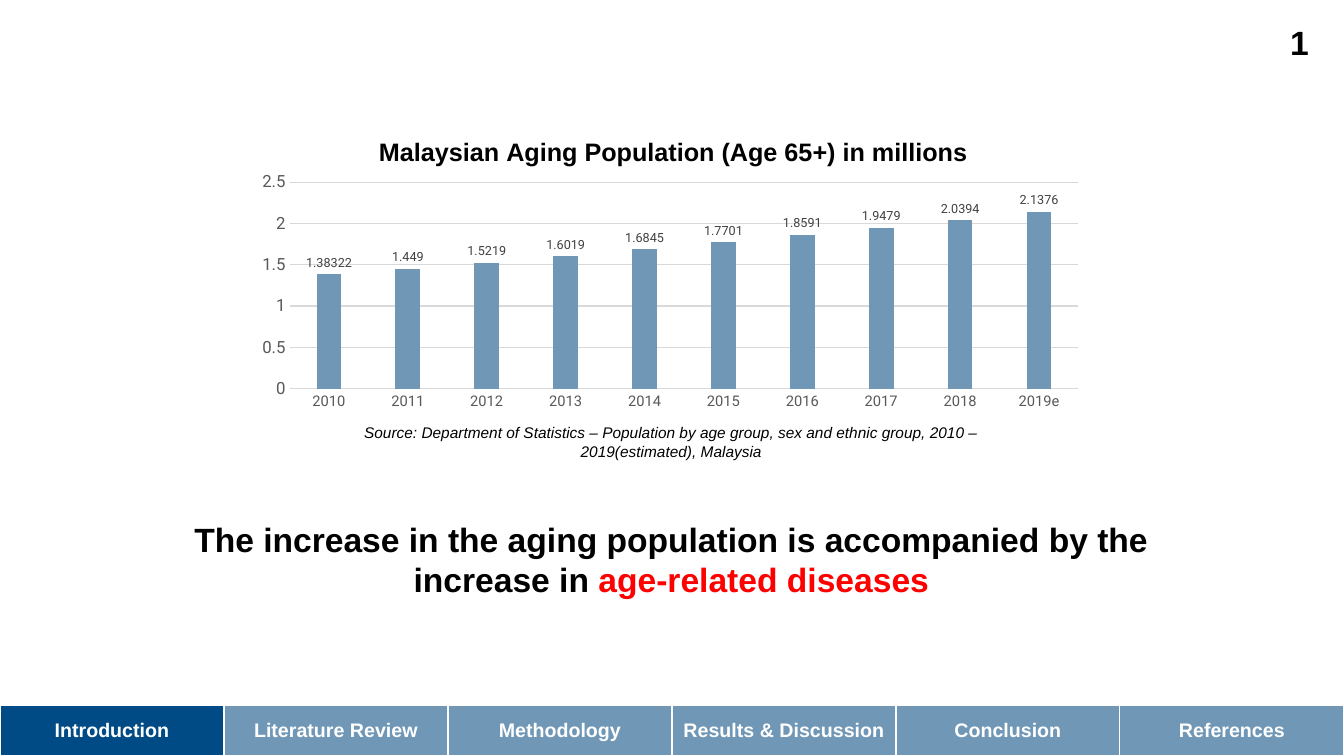
import pptx
import pptx.chart.data
import pptx.dml.color
import pptx.enum.chart
import pptx.enum.text
import pptx.oxml
import pptx.oxml.ns
import pptx.util

Pt = pptx.util.Pt
ALIGN = pptx.enum.text.PP_ALIGN
ANCHOR = pptx.enum.text.MSO_ANCHOR
NAVY, STEEL, WHITE, BLACK, RED = "004B85", "7098B6", "FFFFFF", "000000", "FF0000"
AXIS_GREY, LABEL_GREY, GRID_GREY = "595959", "404040", "D9D9D9"
WIDTH, HEIGHT = 960, 540

SECTIONS = ["Introduction", "Literature Review", "Methodology",
            "Results & Discussion", "Conclusion", "References"]
YEARS = ["2010", "2011", "2012", "2013", "2014",
         "2015", "2016", "2017", "2018", "2019e"]
MILLIONS = [1.38322, 1.449, 1.5219, 1.6019, 1.6845,
            1.7701, 1.8591, 1.9479, 2.0394, 2.1376]


def rgb(color):
    return pptx.dml.color.RGBColor.from_string(color)


def set_font(font, size, color, name="Arial", bold=False, italic=False):
    font.size, font.name, font.bold, font.italic = Pt(size), name, bold, italic
    font.color.rgb = rgb(color)


def place(shape, left, top, width, height):
    shape.left, shape.top = Pt(left), Pt(top)
    shape.width, shape.height = Pt(width), Pt(height)


def add_text(slide, text, box, size, align, **style):
    frame = slide.shapes.add_textbox(*map(Pt, box)).text_frame
    frame.word_wrap = True
    paragraph = frame.paragraphs[0]
    paragraph.text = text
    paragraph.alignment = align
    set_font(paragraph.font, size, BLACK, **style)


def add_statement(slide, lead, emphasis):
    title = slide.shapes.title
    place(title, 106.5, 367, 746, 65.5)
    frame = title.text_frame
    frame.word_wrap = True
    frame.auto_size = pptx.enum.text.MSO_AUTO_SIZE.NONE
    frame.vertical_anchor = ANCHOR.TOP
    paragraph = frame.paragraphs[0]
    paragraph.alignment = ALIGN.CENTER
    set_font(paragraph.font, 24, BLACK, bold=True)
    paragraph.add_run().text = lead
    highlight = paragraph.add_run()
    highlight.text = emphasis
    highlight.font.color.rgb = rgb(RED)


def set_borders(cell, color, width):
    properties = cell._tc.get_or_add_tcPr()
    for index, side in enumerate(("lnL", "lnR", "lnT", "lnB")):
        properties.insert(index, pptx.oxml.parse_xml(
            f'<a:{side} {pptx.oxml.ns.nsdecls("a")} w="{Pt(width)}"><a:solidFill>'
            f'<a:srgbClr val="{color}"/></a:solidFill></a:{side}>'))


def add_navigation(slide, sections, current):
    height = 36
    table = slide.shapes.add_table(1, len(sections), 0, Pt(HEIGHT - height),
                                   Pt(WIDTH), Pt(height)).table
    for cell, section in zip(table.iter_cells(), sections):
        cell.text = section
        cell.vertical_anchor = ANCHOR.MIDDLE
        cell.fill.solid()
        cell.fill.fore_color.rgb = rgb(NAVY if section == current else STEEL)
        set_borders(cell, WHITE, 1)
        paragraph = cell.text_frame.paragraphs[0]
        paragraph.alignment = ALIGN.CENTER
        set_font(paragraph.font, 14, WHITE, bold=True)


def manual_layout(target="", **fractions):
    """Return a chart layout element; fractions are of the chart's size."""
    inner = f'<c:layoutTarget val="{target}"/>' if target else ""
    modes = '<c:xMode val="edge"/><c:yMode val="edge"/>'
    values = "".join(f'<c:{key} val="{value}"/>' for key, value in fractions.items())
    return pptx.oxml.parse_xml(
        f'<c:layout {pptx.oxml.ns.nsdecls("c")}><c:manualLayout>'
        f'{inner}{modes}{values}</c:manualLayout></c:layout>')


def set_layout(element, layout, position):
    for existing in element.findall(pptx.oxml.ns.qn("c:layout")):
        element.remove(existing)
    element.insert(position, layout)


def style_line(line, color):
    line.color.rgb = rgb(color)
    line.width = Pt(0.75)


def style_axes(chart):
    no_tick = pptx.enum.chart.XL_TICK_MARK.NONE
    for axis, size in ((chart.category_axis, 10.5), (chart.value_axis, 12)):
        axis.major_tick_mark = axis.minor_tick_mark = no_tick
        set_font(axis.tick_labels.font, size, AXIS_GREY, "Roboto")
    style_line(chart.category_axis.format.line, GRID_GREY)
    values = chart.value_axis
    values.minimum_scale, values.maximum_scale, values.major_unit = 0, 2.5, 0.5
    values.format.line.fill.background()
    style_line(values.major_gridlines.format.line, GRID_GREY)


def add_population_chart(slide):
    data = pptx.chart.data.CategoryChartData()
    data.categories = YEARS
    data.add_series("Series 1", MILLIONS)
    chart = slide.shapes.add_chart(
        pptx.enum.chart.XL_CHART_TYPE.COLUMN_CLUSTERED,
        Pt(176.5), Pt(83), Pt(606), Pt(214), data).chart
    set_font(chart.font, 10, BLACK, "Calibri")
    chart.has_legend = False
    heading = chart.chart_title.text_frame.paragraphs[0]
    heading.text = "Malaysian Aging Population (Age 65+) in millions"
    set_font(heading.font, 18, BLACK, bold=True)
    chart.chart_title.include_in_layout = False
    set_layout(chart.chart_title._element, manual_layout(x=0.15, y=0.05), 1)
    set_layout(chart._chartSpace.chart.plotArea,
               manual_layout("inner", x=0.05, y=0.22, w=0.93, h=0.69), 0)
    style_axes(chart)

    plot = chart.plots[0]
    plot.gap_width, plot.overlap, plot.vary_by_categories = 219, -27, False
    fill = plot.series[0].format.fill
    fill.solid()
    fill.fore_color.rgb = rgb(STEEL)
    labels = plot.series[0].data_labels
    labels.show_value = True
    labels.position = pptx.enum.chart.XL_LABEL_POSITION.OUTSIDE_END
    set_font(labels.font, 9, LABEL_GREY, "Roboto")


def main():
    deck = pptx.Presentation()
    deck.slide_width, deck.slide_height = Pt(WIDTH), Pt(HEIGHT)
    slide = deck.slides.add_slide(deck.slide_layouts.get_by_name("Title Only"))
    add_navigation(slide, SECTIONS, "Introduction")
    add_population_chart(slide)
    add_text(slide, "Source: Department of Statistics – Population by age group, "
             "sex and ethnic group, 2010 – 2019(estimated), Malaysia",
             (215, 299, 529, 34), 11, ALIGN.CENTER, italic=True)
    add_statement(slide, "The increase in the aging population is accompanied by "
                  "the increase in ", "age-related diseases")
    add_text(slide, "1", (872, 12, 70, 36), 24, ALIGN.RIGHT, bold=True)
    deck.save("out.pptx")


if __name__ == "__main__":
    main()
